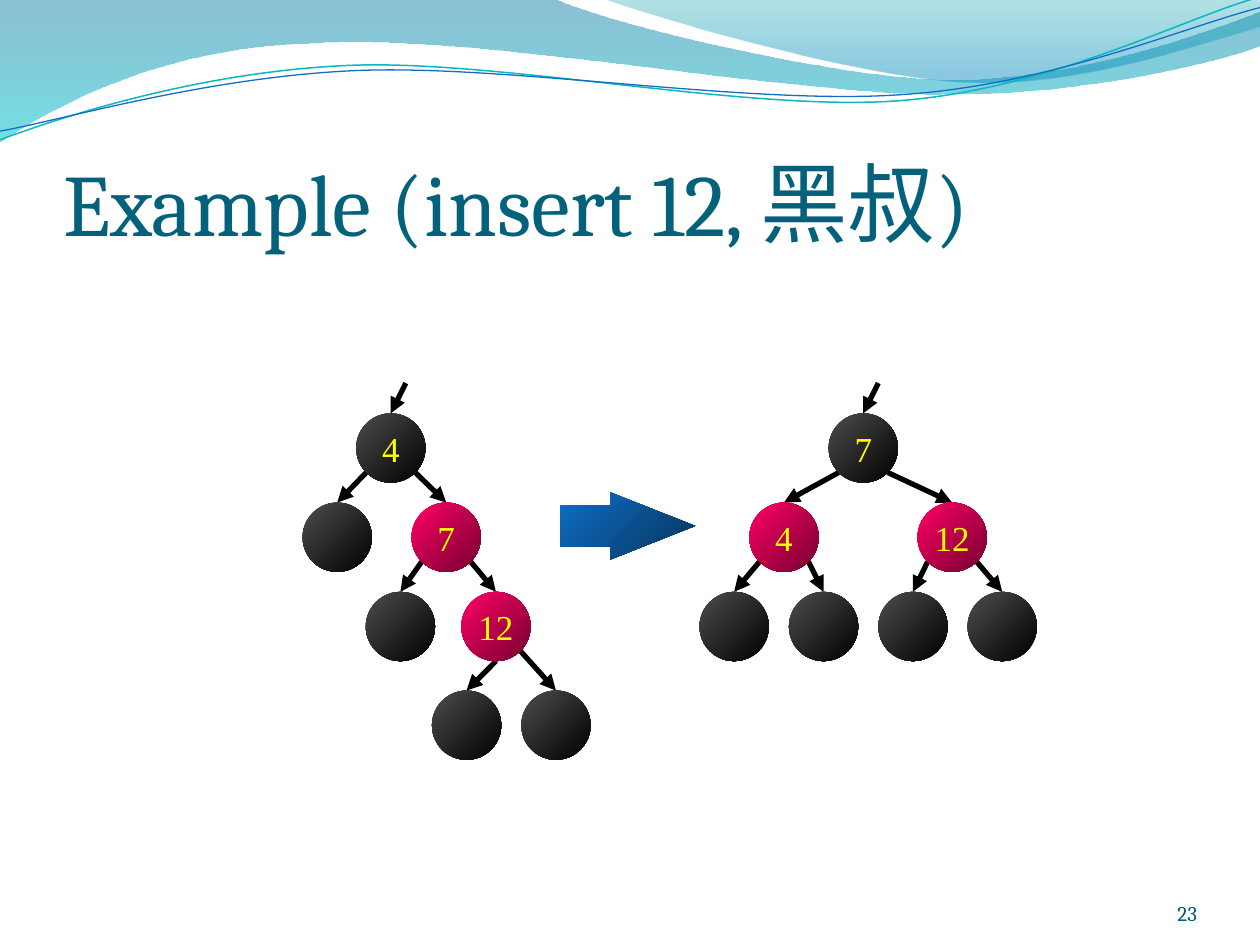
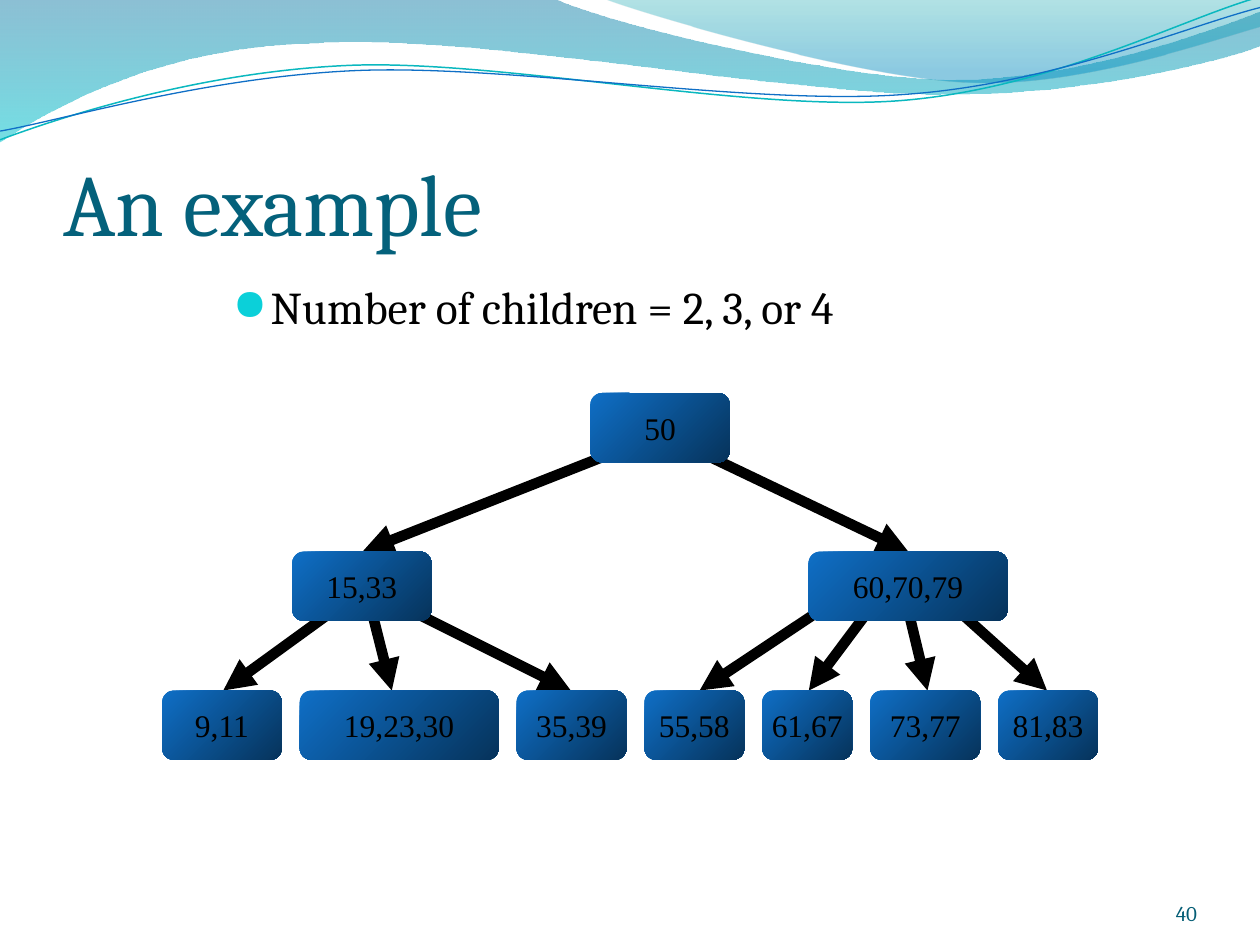
"""Build two slides that show search trees under a wave band."""
from dataclasses import dataclass

from lxml import etree
from pptx import Presentation
from pptx.dml.color import RGBColor
from pptx.enum.shapes import MSO_CONNECTOR, MSO_SHAPE
from pptx.enum.text import MSO_ANCHOR, PP_ALIGN
from pptx.oxml.ns import qn
from pptx.util import Pt

STRAIGHT = MSO_CONNECTOR.STRAIGHT
OVAL, ROUND, ARROW = MSO_SHAPE.OVAL, MSO_SHAPE.ROUNDED_RECTANGLE, MSO_SHAPE.RIGHT_ARROW
BOTTOM, MIDDLE, TOP = MSO_ANCHOR.BOTTOM, MSO_ANCHOR.MIDDLE, MSO_ANCHOR.TOP
LEFT, CENTER, RIGHT = PP_ALIGN.LEFT, PP_ALIGN.CENTER, PP_ALIGN.RIGHT

SERIF, ROMAN = "Cambria", "Times New Roman"
BLACK, YELLOW, TEAL, DEEP, AQUA = "000000", "FFFF00", "04617B", "045D75", "0BD0D9"
SIZE = 39.6
RIM = 14
LEVELS = (236.2, 287.2, 338.2, 394.6)
TIERS = (224.6, 315.2, 394.6)


@dataclass(frozen=True)
class Stop:
    """One gradient stop, with opacity and shade in percent."""
    place: float
    color: str
    alpha: float = 100
    shade: float = 100


@dataclass(frozen=True)
class Wave:
    """A curved outline, filled with stops or drawn as a line."""
    start: tuple[float, float]
    steps: tuple[tuple[float, ...], ...]
    stops: tuple[Stop, ...] = ()
    color: str = ""
    width: float = 0


@dataclass(frozen=True)
class Node:
    """A round tree node with its centre and children."""
    x: float
    label: str = ""
    red: bool = False
    kids: tuple["Node", ...] = ()
    middle: bool = False


@dataclass(frozen=True)
class Box:
    """A key box in one tier of the wide tree."""
    label: str
    left: float
    width: float
    tier: int


@dataclass(frozen=True)
class Link:
    """A thick arrow down to the top of a tier."""
    x: float
    y: float
    tip: float
    tier: int


BLUE = (Stop(0, "0F6FC6"), Stop(1, "0F6FC6", shade=46.27))
PINK = (Stop(0, "FF0066"), Stop(1, "FF0066", shade=46.27))
DARK = (Stop(0, "4D4D4D"), Stop(1, BLACK))

WAVES = (
    Wave((0, 0), (
        (316.8, -0.7),
        (342.7, 12.2, 478.1, 45.4, 545.8, 45.4),
        (614.2, 45.4, 689.8, 18.7, 720, 6.5),
        (720.7, 25.9),
        (707.8, 31.7, 626.4, 54.7, 537.1, 54),
        (447.8, 54, 275, 20.2, 185, 24.5),
        (92.9, 25.9, 33.1, 59.8, -0.7, 81.4),
        (0, 0)),
        (Stop(0, "0074A1", 45), Stop(1, "00C6CF", 55))),
    Wave((344.9, -0.7), (
        (366.5, 7.9, 491, 44.6, 553.7, 46.8),
        (616.3, 49.7, 691.9, 23, 720, 15.1),
        (720, 0),
        (344.9, -0.7)),
        (Stop(0, "00A1A9", 30), Stop(0.8, "008BBF", 45))),
    Wave((0, 79.9), (
        (34.6, 67, 113.8, 41, 199.4, 37.4),
        (284.4, 33.8, 427, 64.1, 513.4, 57.6),
        (599.8, 51.1, 675.4, 10.8, 718.6, -1.4)),
        color="0AB8BF", width=0.85),
    Wave((0, 74.9), (
        (33.8, 69.1, 118.1, 43.9, 203.8, 40.3),
        (290.2, 36.7, 429.8, 60.5, 516.2, 54),
        (601.9, 48.2, 677.5, 15.1, 720, 4.3)),
        color="0F6FC6", width=0.75),
)

BEFORE = Node(223.3, "4", kids=(
    Node(192.7),
    Node(255, "7", True, (
        Node(228.8),
        Node(283.4, "12", True, (Node(266.6, middle=True), Node(317.7)))))))
AFTER = Node(493.3, "7", kids=(
    Node(448, "4", True, (Node(419.5), Node(470.6))),
    Node(544.1, "12", True, (Node(521.7), Node(572.7)))))

UPPER = (Box("50", 337.4, 79.6, 0), Box("15,33", 167, 79.6, 1),
         Box("60,70,79", 462, 113.8, 1))
LEAVES = (("9,11", 68.3), ("19,23,30", 113.6), ("35,39", 62.8), ("55,58", 57),
          ("61,67", 51.4), ("73,77", 62.8), ("81,83", 57))
EDGE, GAP = 92.7, 10.3
LINKS = (
    Link(190.1, 349.2, 127.6, 2), Link(212.4, 349.2, 223.9, 2),
    Link(235.4, 349.2, 326.2, 2), Link(468, 349.2, 399.8, 2),
    Link(496.1, 349.2, 462.2, 2), Link(519.1, 349.2, 530, 2),
    Link(541.4, 343.4, 598.3, 2), Link(365.8, 252.7, 207.2, 1),
    Link(388.1, 252.7, 519, 1))


def paint(code: str) -> RGBColor:
    """Turn a hex string into a colour."""
    return RGBColor.from_string(code)


def blend(shape, stops: tuple[Stop, ...], angle: float) -> None:
    """Fill a shape with a two-stop gradient and no outline."""
    shape.shadow.inherit = False
    shape.line.fill.background()
    shape.fill.gradient()
    shape.fill.gradient_angle = 360 - angle
    for mark, stop in zip(shape.fill.gradient_stops, stops):
        mark.position = stop.place
        mark.color.rgb = paint(stop.color)
    tones = shape._element.spPr.iter(qn("a:srgbClr"))
    for tone, stop in zip(tones, stops):
        if stop.shade < 100:
            etree.SubElement(tone, qn("a:gamma"))
            etree.SubElement(tone, qn("a:shade"), val=str(round(stop.shade * 1000)))
            etree.SubElement(tone, qn("a:invGamma"))
        if stop.alpha < 100:
            etree.SubElement(tone, qn("a:alpha"), val=str(round(stop.alpha * 1000)))


def write(shape, text: str, font: str, size: float, color: str, align, anchor,
          wrap: bool = True) -> None:
    """Put one styled line of text into a shape."""
    frame = shape.text_frame
    frame.text = text
    frame.word_wrap = wrap
    frame.vertical_anchor = anchor
    line = frame.paragraphs[0]
    line.alignment = align
    for run in line.runs:
        run.font.name = font
        run.font.size = Pt(size)
        run.font.color.rgb = paint(color)


def place(slide, left: float, top: float, width: float, height: float,
          inset: float | None = None):
    """Add a text box, flush on three sides if a top inset is given."""
    box = slide.shapes.add_textbox(Pt(left), Pt(top), Pt(width), Pt(height))
    if inset is not None:
        frame = box.text_frame
        frame.margin_left = frame.margin_right = frame.margin_bottom = 0
        frame.margin_top = Pt(inset)
    return box


def bullet(shape) -> None:
    """Give the first paragraph a hanging round bullet."""
    props = shape.text_frame.paragraphs[0]._p.get_or_add_pPr()
    props.set("marL", str(Pt(21.6)))
    props.set("indent", str(Pt(-21.6)))
    tint = etree.SubElement(props, qn("a:buClr"))
    etree.SubElement(tint, qn("a:srgbClr"), val=AQUA)
    etree.SubElement(props, qn("a:buSzPct"), val="95000")
    etree.SubElement(props, qn("a:buChar"), char="●")


def form(slide, kind, left: float, top: float, width: float, height: float,
         stops: tuple[Stop, ...]):
    """Add a preset shape with a slanted gradient."""
    shape = slide.shapes.add_shape(kind, Pt(left), Pt(top), Pt(width), Pt(height))
    blend(shape, stops, 45)
    return shape


def point(slide, x: float, y: float, tip: float, end: float, width: float) -> None:
    """Draw a black arrow."""
    line = slide.shapes.add_connector(STRAIGHT, Pt(x), Pt(y), Pt(tip), Pt(end))
    line.line.color.rgb = paint(BLACK)
    line.line.width = Pt(width)
    props = line._element.spPr
    etree.SubElement(props.find(qn("a:ln")), qn("a:tailEnd"), type="triangle")
    etree.SubElement(props, qn("a:effectLst"))


def bend(shape, steps: tuple[tuple[float, ...], ...]) -> None:
    """Merge each three segments of a curved step into one curve."""
    lines = iter(list(shape._element.spPr.iter(qn("a:lnTo"))))
    for step in steps:
        group = [next(lines) for _ in range(len(step) // 2)]
        if len(group) == 3:
            curve = etree.Element(qn("a:cubicBezTo"))
            group[0].addprevious(curve)
            for line in group:
                curve.append(line[0])
                line.getparent().remove(line)


def draw(slide, wave: Wave) -> None:
    """Draw one wave of the band."""
    dots = [(Pt(x), Pt(y)) for step in wave.steps
            for x, y in zip(step[::2], step[1::2])]
    pen = slide.shapes.build_freeform(*map(Pt, wave.start))
    pen.add_line_segments(dots, close=bool(wave.stops))
    shape = pen.convert_to_shape()
    bend(shape, wave.steps)
    if wave.stops:
        blend(shape, wave.stops, 90)
        return
    shape.shadow.inherit = False
    shape.fill.background()
    shape.line.color.rgb = paint(wave.color)
    shape.line.width = Pt(wave.width)


def start(deck, title: str, page: str):
    """Add a slide with its band, title and page number."""
    slide = deck.slides.add_slide(deck.slide_layouts[6])
    for wave in WAVES:
        draw(slide, wave)
    write(place(slide, 624, 500.4, 60, 28.8, 0), page, SERIF, 12, DEEP, RIGHT, BOTTOM)
    write(place(slide, 36, 55.4, 653.8, 90, 3.6), title, SERIF, 50, TEAL, LEFT, BOTTOM)
    return slide


def grow(slide, node: Node, depth: int = 0) -> None:
    """Draw a node, its links and all below it."""
    top = LEVELS[depth]
    for kid in node.kids:
        side = 0 if kid.middle else RIM if kid.x > node.x else -RIM
        foot = top + SIZE if kid.middle else top + SIZE / 2 + RIM
        point(slide, node.x + side, foot, kid.x, LEVELS[depth + 1], 3)
        grow(slide, kid, depth + 1)
    ball = form(slide, OVAL, node.x - SIZE / 2, top, SIZE, SIZE,
                PINK if node.red else DARK)
    if node.label:
        write(ball, node.label, ROMAN, 20, YELLOW, CENTER, MIDDLE, False)


def insert(deck) -> None:
    """Build the slide on the insert step."""
    slide = start(deck, "Example (insert 12, 黑叔)", "23")
    arrow = form(slide, ARROW, 320.2, 281.3, 77, 38.5, BLUE)
    arrow.adjustments[0], arrow.adjustments[1] = 0.61, 1.26
    for root in (BEFORE, AFTER):
        point(slide, root.x + 8.6, 218.9, root.x, LEVELS[0], 3)
        grow(slide, root)


def wide(deck) -> None:
    """Build the slide on the tree with up to four children."""
    slide = start(deck, "An example", "40")
    body = place(slide, 126, 156.2, 594, 324)
    write(body, "Number of children = 2, 3, or 4", SERIF, 26, BLACK, LEFT, TOP)
    bullet(body)
    for link in LINKS:
        point(slide, link.x, link.y, link.tip, TIERS[link.tier], 6)
    boxes, left = list(UPPER), EDGE
    for label, width in LEAVES:
        boxes.append(Box(label, left, width, 2))
        left += width + GAP
    for box in boxes:
        shape = form(slide, ROUND, box.left, TIERS[box.tier], box.width, SIZE, BLUE)
        write(shape, box.label, ROMAN, 18, BLACK, CENTER, MIDDLE, False)


def main() -> None:
    """Build and save the deck."""
    deck = Presentation()
    deck.slide_width, deck.slide_height = Pt(720), Pt(540)
    insert(deck)
    wide(deck)
    deck.save("out.pptx")


if __name__ == "__main__":
    main()
